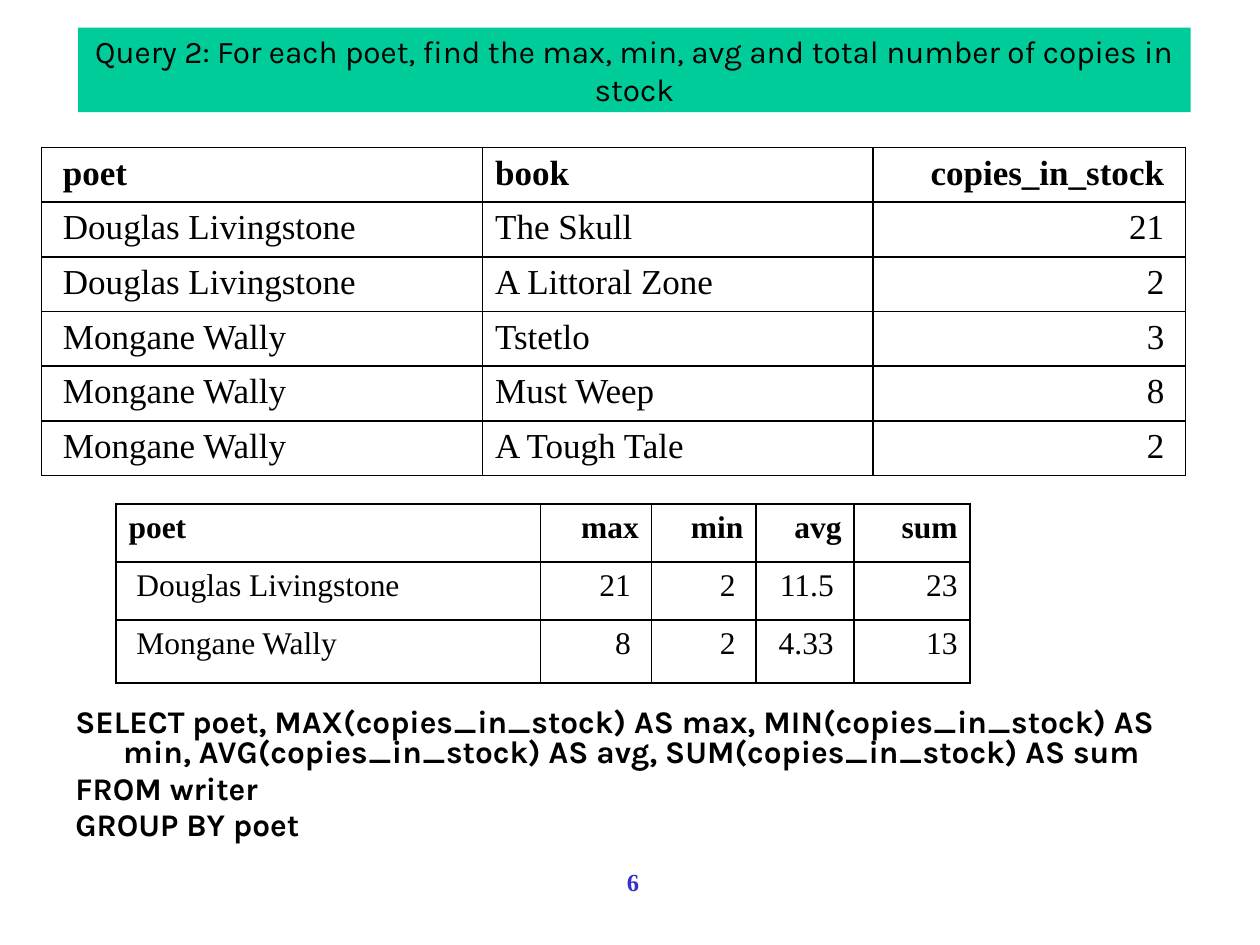
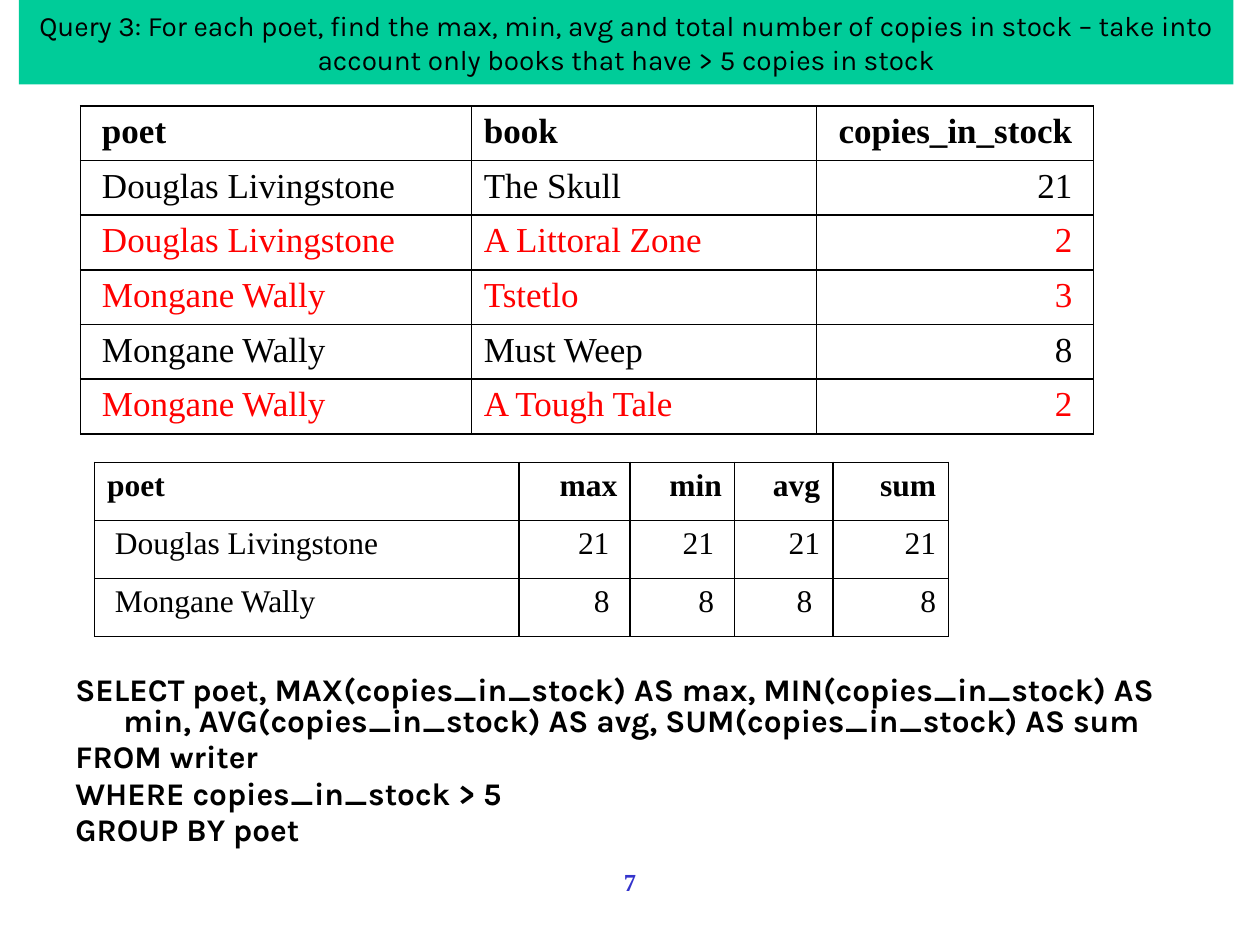
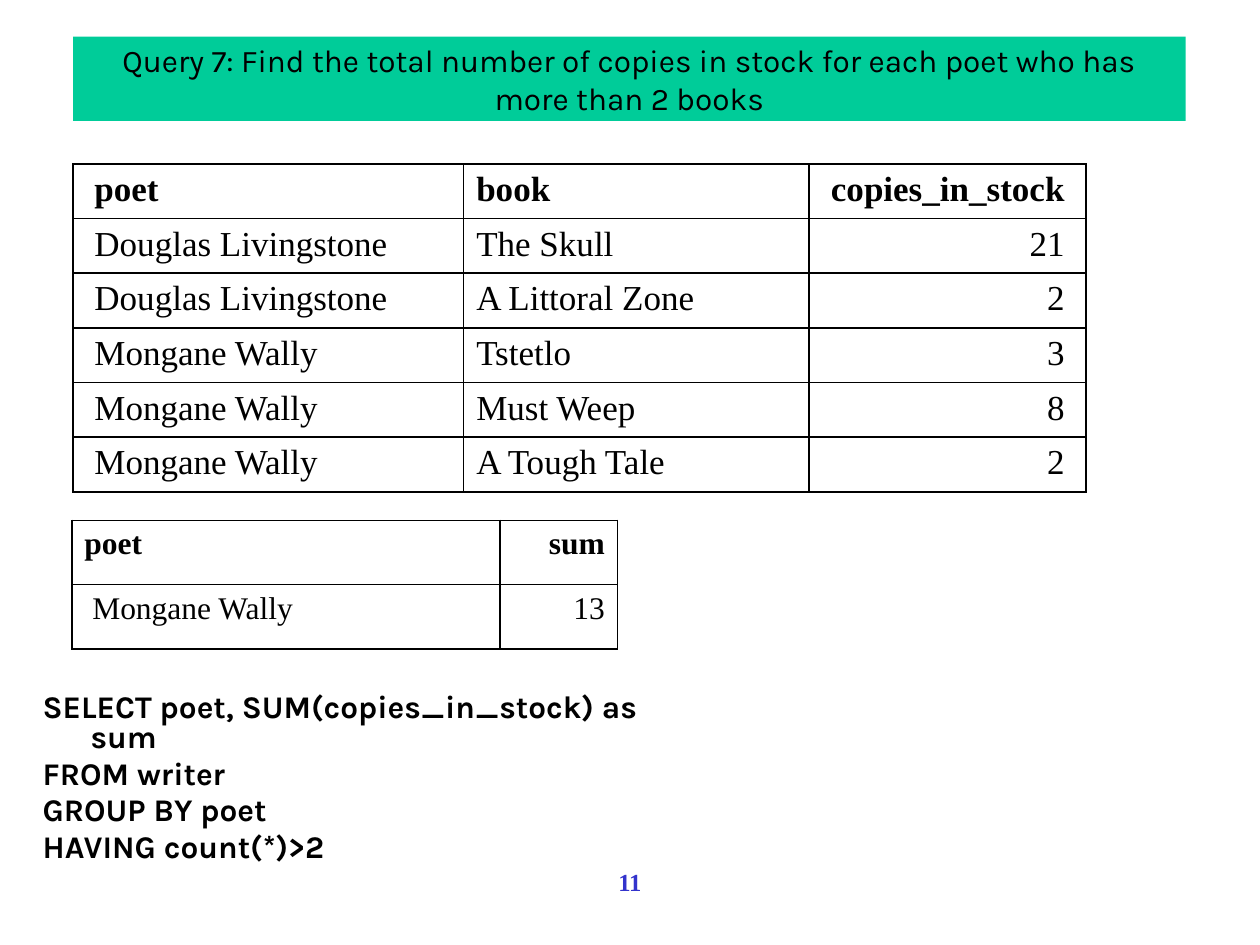
"""Build three slides on SQL grouping queries over a table of poets and books."""
import pptx
import pptx.util
import pptx.dml.color
import pptx.enum.shapes
import pptx.enum.text
import pptx.oxml
import pptx.oxml.ns

Inches = pptx.util.Inches
Pt = pptx.util.Pt
LEFT = pptx.enum.text.PP_ALIGN.LEFT
CENTER = pptx.enum.text.PP_ALIGN.CENTER
RIGHT = pptx.enum.text.PP_ALIGN.RIGHT

COLORS = {"band": "00CC99", "text": "000000", "number": "3333CC", "excluded": "FF0000"}
SANS, SERIF = "Karla", "Times New Roman"


def write(tf, text, size=18, font=SANS, color="text", bold=False, align=LEFT, hanging=False):
    """Fill a text frame with one paragraph per line of text."""
    tf.word_wrap = True
    for i, line in enumerate(text.split("\n")):
        p = tf.paragraphs[0] if i == 0 else tf.add_paragraph()
        p.alignment = align
        if hanging:
            p.line_spacing = 0.8
            p.space_before = Pt(3.6)
            pPr = p._p.get_or_add_pPr()
            pPr.set("marL", str(Inches(0.38)))
            pPr.set("indent", str(-Inches(0.38)))
        r = p.add_run()
        r.text = line
        r.font.size = Pt(size)
        r.font.name = font
        r.font.bold = bold
        r.font.color.rgb = pptx.dml.color.RGBColor.from_string(COLORS[color])


def add_grid(s, left, top, cols, heights, rows, size, excluded=()):
    """Add a ruled table with a bold first row and a left-aligned text column set."""
    width, height = Inches(sum(cols)), Inches(sum(heights))
    table = s.shapes.add_table(len(rows), len(cols), Inches(left), Inches(top), width, height).table
    table.first_row = table.horz_banding = False
    for column, w in zip(table.columns, cols):
        column.width = Inches(w)
    for row, h in zip(table.rows, heights):
        row.height = Inches(h)
    for i, row in enumerate(rows):
        for j, text in enumerate(row):
            cell = table.cell(i, j)
            tcPr = cell._tc.get_or_add_tcPr()
            for side in ("lnL", "lnR", "lnT", "lnB"):
                tcPr.append(pptx.oxml.parse_xml(
                    f'<a:{side} {pptx.oxml.ns.nsdecls("a")} w="12700"><a:solidFill>'
                    f'<a:srgbClr val="{COLORS["text"]}"/></a:solidFill></a:{side}>'))
            cell.fill.background()
            write(cell.text_frame, text, size=size, font=SERIF, bold=i == 0,
                  color="excluded" if i in excluded else "text",
                  align=LEFT if j == 0 or rows[0][j] == "book" else RIGHT)


BOOKS = [
    (" poet", "book", "copies_in_stock "),
    (" Douglas Livingstone", "The Skull", "21 "),
    (" Douglas Livingstone", "A Littoral Zone", "2 "),
    (" Mongane Wally", "Tstetlo", "3 "),
    (" Mongane Wally", "Must Weep", "8 "),
    (" Mongane Wally", "A Tough Tale", "2 "),
]
BOOK_HEIGHTS = [2.6 / len(BOOKS)] * len(BOOKS)
STATS_HEAD = ("poet", "max", "min", "avg", "sum")
STATS_COLS = (3.37, 0.88, 0.83, 0.78, 0.92)
SELECT_STATS = ("SELECT poet, MAX(copies_in_stock) AS max, MIN(copies_in_stock) AS min, "
                "AVG(copies_in_stock) AS avg, SUM(copies_in_stock) AS sum")

SLIDES = [
    dict(
        number=" 6",
        title="Query 2: For each poet, find the max, min, avg and total number of copies in stock",
        band=(0.62, 0.22, 8.83, 0.67), title_size=18,
        books=(0.33, 1.17, (3.5, 3.1, 2.48)), excluded=(),
        result=(0.92, 4, STATS_COLS, (0.46, 0.46, 0.5)),
        rows=[STATS_HEAD,
              (" Douglas Livingstone", "21 ", "2 ", "11.5 ", "23"),
              (" Mongane Wally", "8 ", "2 ", "4.33 ", "13")],
        query=f"{SELECT_STATS}\nFROM writer\nGROUP BY poet",
        query_box=(0.5, 5.58, 9.17, 1.23),
    ),
    dict(
        number="7",
        title="Query 3: For each poet, find the max, min, avg and total number of copies in stock "
              "– take into account only books that have > 5 copies in stock",
        band=(0.15, 0, 9.64, 0.67), title_size=16,
        books=(0.64, 0.84, (3.1, 2.74, 2.2)), excluded=(2, 3, 5),
        result=(0.75, 3.67, STATS_COLS, (0.46, 0.46, 0.46)),
        rows=[STATS_HEAD,
              (" Douglas Livingstone", "21 ", "21 ", "21", "21"),
              (" Mongane Wally", "8 ", "8 ", "8 ", "8")],
        query=f"{SELECT_STATS}\nFROM writer\nWHERE copies_in_stock > 5\nGROUP BY poet",
        query_box=(0.5, 5.33, 9.35, 1.23),
    ),
    dict(
        number="11",
        title="Query 7: Find the total number of copies in stock for each poet who has more than 2 books",
        band=(0.58, 0.29, 8.83, 0.67), title_size=18,
        books=(0.58, 1.3, (3.1, 2.74, 2.2)), excluded=(),
        result=(0.57, 4.13, (3.4, 0.93), (0.51, 0.51)),
        rows=[("poet", "sum"), (" Mongane Wally", "13")],
        query="SELECT poet, SUM(copies_in_stock) as sum\nFROM writer\nGROUP BY poet\nHAVING count(*)>2",
        query_box=(0.24, 5.46, 4.95, 1.4),
    ),
]

prs = pptx.Presentation()
prs.slide_width, prs.slide_height = Inches(10), Inches(7.5)

for d in SLIDES:
    s = prs.slides.add_slide(prs.slide_layouts[6])

    tf = s.shapes.add_textbox(Inches(0.5), Inches(6.83), Inches(9), Inches(0.5)).text_frame
    write(tf, d["number"], size=14, font=SERIF, color="number", bold=True, align=CENTER)

    sp = s.shapes.add_shape(pptx.enum.shapes.MSO_SHAPE.RECTANGLE, *map(Inches, d["band"]))
    sp.shadow.inherit = False
    sp.fill.solid()
    sp.fill.fore_color.rgb = pptx.dml.color.RGBColor.from_string(COLORS["band"])
    sp.line.fill.background()
    sp.text_frame.vertical_anchor = pptx.enum.text.MSO_ANCHOR.MIDDLE
    write(sp.text_frame, d["title"], size=d["title_size"], align=CENTER)

    tf = s.shapes.add_textbox(*map(Inches, d["query_box"])).text_frame
    write(tf, d["query"], bold=True, hanging=True)

    add_grid(s, *d["books"], BOOK_HEIGHTS, BOOKS, 20, d["excluded"])
    add_grid(s, *d["result"], d["rows"], 18)

prs.save("out.pptx")
